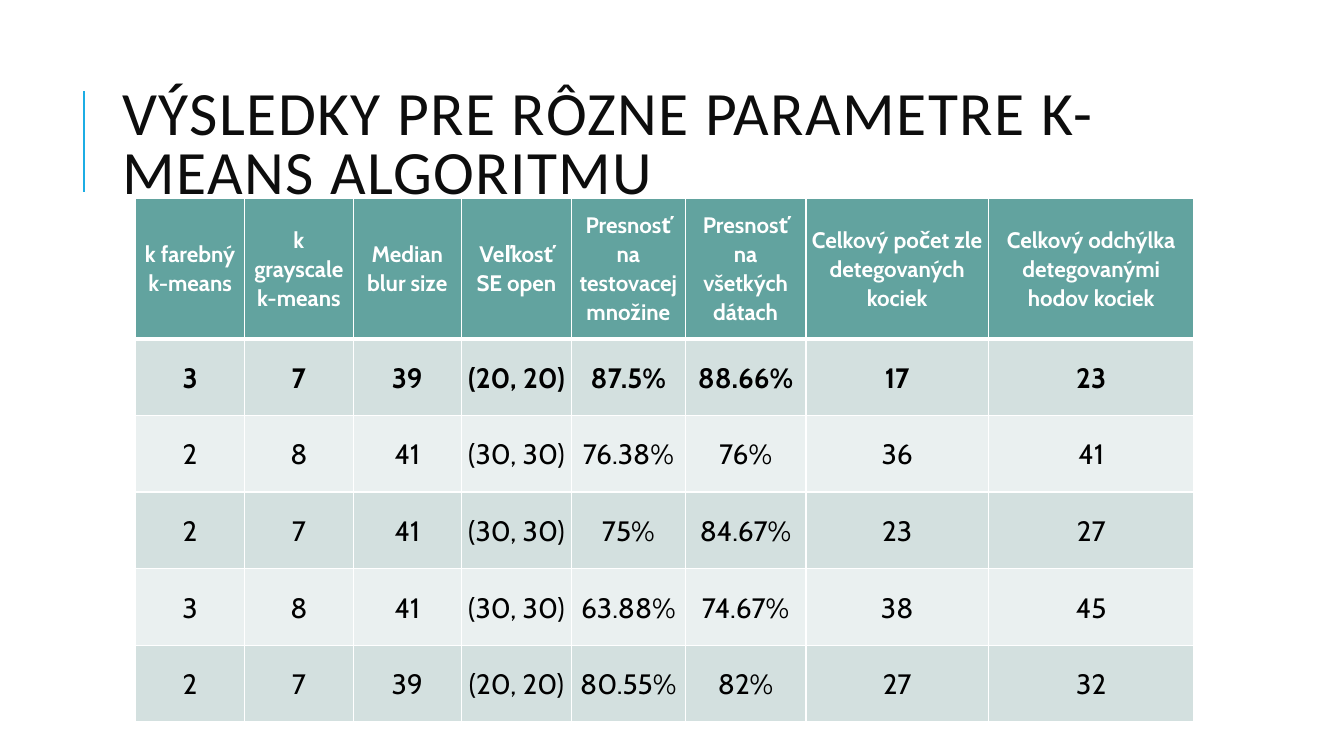
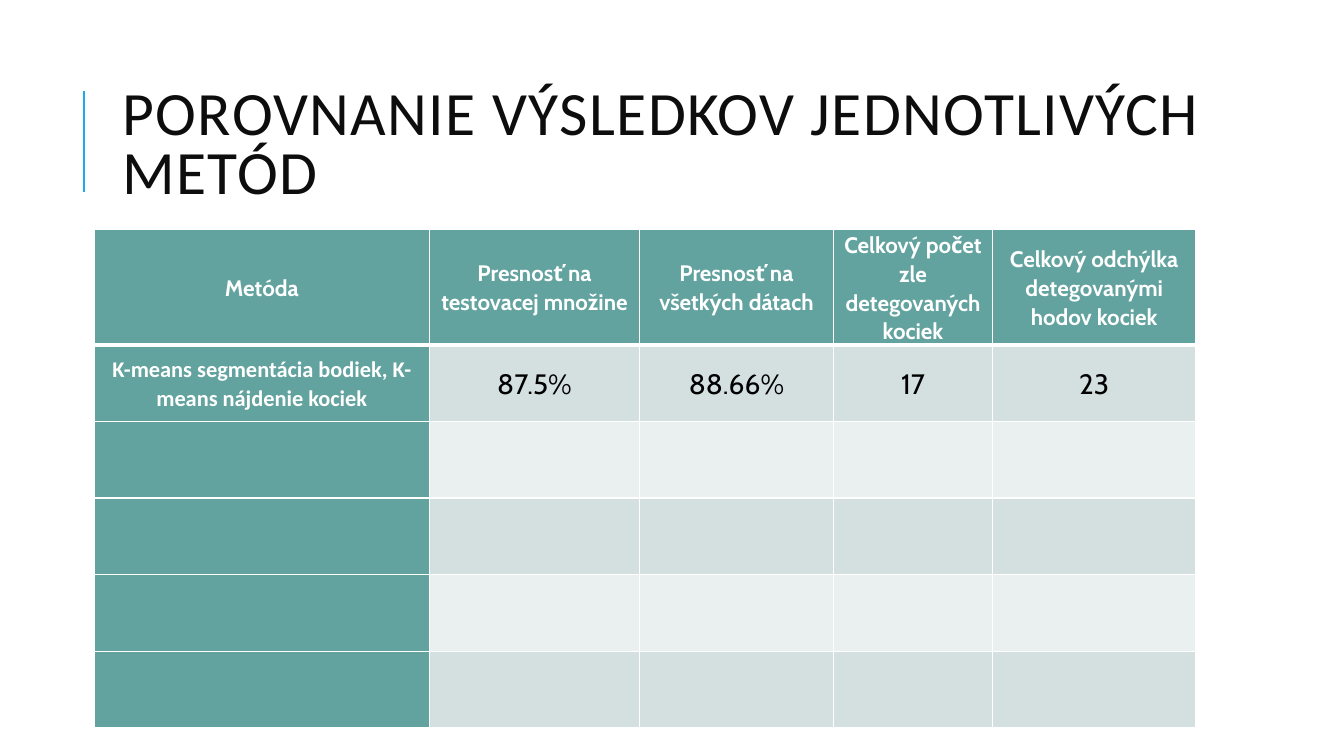
from dataclasses import dataclass
from typing import Optional

from lxml import etree
from pptx import Presentation
from pptx import util as u
from pptx.dml.color import RGBColor
from pptx.enum import shapes, text
from pptx.oxml import ns


@dataclass(frozen=True)
class Theme:
    accent: str = "1CADE4"
    title: str = "0D0D0D"
    header: str = "62A39F"
    band_dark: str = "D3E0DF"
    band_light: str = "EAF0F0"
    white: str = "FFFFFF"
    black: str = "000000"
    title_font: str = "Calibri"
    table_font: str = "Cabin"
    title_size: int = 44
    header_size: int = 16
    value_size: int = 20
    grid: int = 1
    header_rule: int = 3


@dataclass(frozen=True)
class ResultSlide:
    title: str
    left: float
    top: float
    widths: tuple[float, ...]
    header_height: float
    headers: tuple[str, ...]
    rows: tuple[tuple[str, ...], ...]
    label_column: bool = False
    best_row: Optional[int] = None


T = Theme()
ROW_HEIGHT = 1.93
CELL_INSET = 0.12

SHARED_HEADERS = (
    "Presnosť na testovacej množine",
    "Presnosť na všetkých dátach",
    "Celkový počet zle detegovaných kociek",
    "Celkový odchýlka detegovanými hodov kociek",
)

SLIDES = (
    ResultSlide(
        title="VÝSLEDKY PRE RÔZNE PARAMETRE K-MEANS ALGORITMU",
        left=3.42,
        top=4.99,
        widths=(2.74, 2.74, 2.73, 2.77, 2.87, 3.04, 4.6, 5.18),
        header_height=3.55,
        headers=("k farebný k-means", "k grayscale k-means", "Median blur size",
                 "Veľkosť SE open", *SHARED_HEADERS),
        rows=(
            ("3", "7", "39", "(20, 20)", "87.5%", "88.66%", "17", "23"),
            ("2", "8", "41", "(30, 30)", "76.38%", "76%", "36", "41"),
            ("2", "7", "41", "(30, 30)", "75%", "84.67%", "23", "27"),
            ("3", "8", "41", "(30, 30)", "63.88%", "74.67%", "38", "45"),
            ("2", "7", "39", "(20, 20)", "80.55%", "82%", "27", "32"),
        ),
        best_row=1,
    ),
    ResultSlide(
        title="POROVNANIE VÝSLEDKOV JEDNOTLIVÝCH METÓD",
        left=2.37,
        top=5.79,
        widths=(8.46, 5.28, 4.9, 4.0, 5.13),
        header_height=2.51,
        headers=("Metóda", *SHARED_HEADERS),
        rows=(
            ("K-means segmentácia bodiek, K-means nájdenie kociek",
             "87.5%", "88.66%", "17", "23"),
            *[("",) * 5] * 4,
        ),
        label_column=True,
    ),
)


def write(tf, content: str, *, size: int, color: str, font: str,
          bold: bool = False, align=text.PP_ALIGN.LEFT, line_spacing: float = 1.0,
          space_after: float = 0, tracking: int = 0) -> None:
    p = tf.paragraphs[0]
    p.alignment = align
    p.line_spacing = line_spacing
    p.space_after = u.Pt(space_after)
    r = p.add_run()
    r.text = content
    r.font.size = u.Pt(size)
    r.font.name = font
    r.font.bold = bold
    r.font.color.rgb = RGBColor.from_string(color)
    if tracking:
        r._r.get_or_add_rPr().set("spc", str(tracking * 100))


def add_title(s, title: str) -> None:
    line = s.shapes.add_connector(shapes.MSO_CONNECTOR.STRAIGHT,
                                  u.Cm(2.11), u.Cm(4.83), u.Cm(2.11), u.Cm(2.29))
    line.line.color.rgb = RGBColor.from_string(T.accent)
    line.line.width = u.Pt(1.5)
    etree.SubElement(line._element.spPr, ns.qn("a:effectLst"))

    box = s.shapes.add_textbox(u.Cm(2.84), u.Cm(1.63), u.Cm(27.76), u.Cm(4.17))
    tf = box.text_frame
    tf.word_wrap = True
    tf.vertical_anchor = text.MSO_ANCHOR.MIDDLE
    write(tf, title, size=T.title_size, color=T.title, font=T.title_font,
          line_spacing=0.8, tracking=1)


def set_borders(cell, top: int, bottom: int) -> None:
    tc_pr = cell._tc.get_or_add_tcPr()
    for side, width in (("L", T.grid), ("R", T.grid), ("T", top), ("B", bottom)):
        ln = etree.SubElement(tc_pr, ns.qn(f"a:ln{side}"), w=str(int(u.Pt(width))))
        fill = etree.SubElement(ln, ns.qn("a:solidFill"))
        etree.SubElement(fill, ns.qn("a:srgbClr"), val=T.white)


def fill_cell(cell, content: str, row: int, is_label: bool, is_best: bool) -> None:
    is_header = row == 0
    set_borders(cell, T.header_rule if row == 1 else T.grid,
                T.header_rule if is_header else T.grid)
    band = T.band_dark if row % 2 else T.band_light
    cell.fill.solid()
    cell.fill.fore_color.rgb = RGBColor.from_string(
        T.header if is_header or is_label else band)
    cell.vertical_anchor = text.MSO_ANCHOR.MIDDLE
    cell.margin_left = cell.margin_right = u.Cm(CELL_INSET)
    cell.margin_top = cell.margin_bottom = 0
    if not content:
        return
    heading = is_header or is_label
    write(cell.text_frame, content,
          size=T.header_size if heading else T.value_size,
          color=T.white if heading else T.black,
          font=T.title_font if is_label and not is_header else T.table_font,
          bold=heading or is_best,
          align=text.PP_ALIGN.CENTER, line_spacing=1.07, space_after=8)


def add_results(s, spec_: ResultSlide) -> None:
    rows = (spec_.headers, *spec_.rows)
    heights = (spec_.header_height, *[ROW_HEIGHT] * len(spec_.rows))
    table = s.shapes.add_table(len(rows), len(spec_.widths),
                               u.Cm(spec_.left), u.Cm(spec_.top),
                               u.Cm(sum(spec_.widths)), u.Cm(sum(heights))).table
    table.horz_banding = False
    table.first_col = spec_.label_column
    for column, width in zip(table.columns, spec_.widths):
        column.width = u.Cm(width)
    for i, (values, height) in enumerate(zip(rows, heights)):
        table.rows[i].height = u.Cm(height)
        for j, value in enumerate(values):
            fill_cell(table.cell(i, j), value, i,
                      is_label=spec_.label_column and j == 0,
                      is_best=i == spec_.best_row)


def main() -> None:
    prs = Presentation()
    prs.slide_width, prs.slide_height = u.Cm(33.87), u.Cm(19.05)
    for result in SLIDES:
        s = prs.slides.add_slide(prs.slide_layouts[6])
        add_title(s, result.title)
        add_results(s, result)
    prs.save("out.pptx")


if __name__ == "__main__":
    main()
